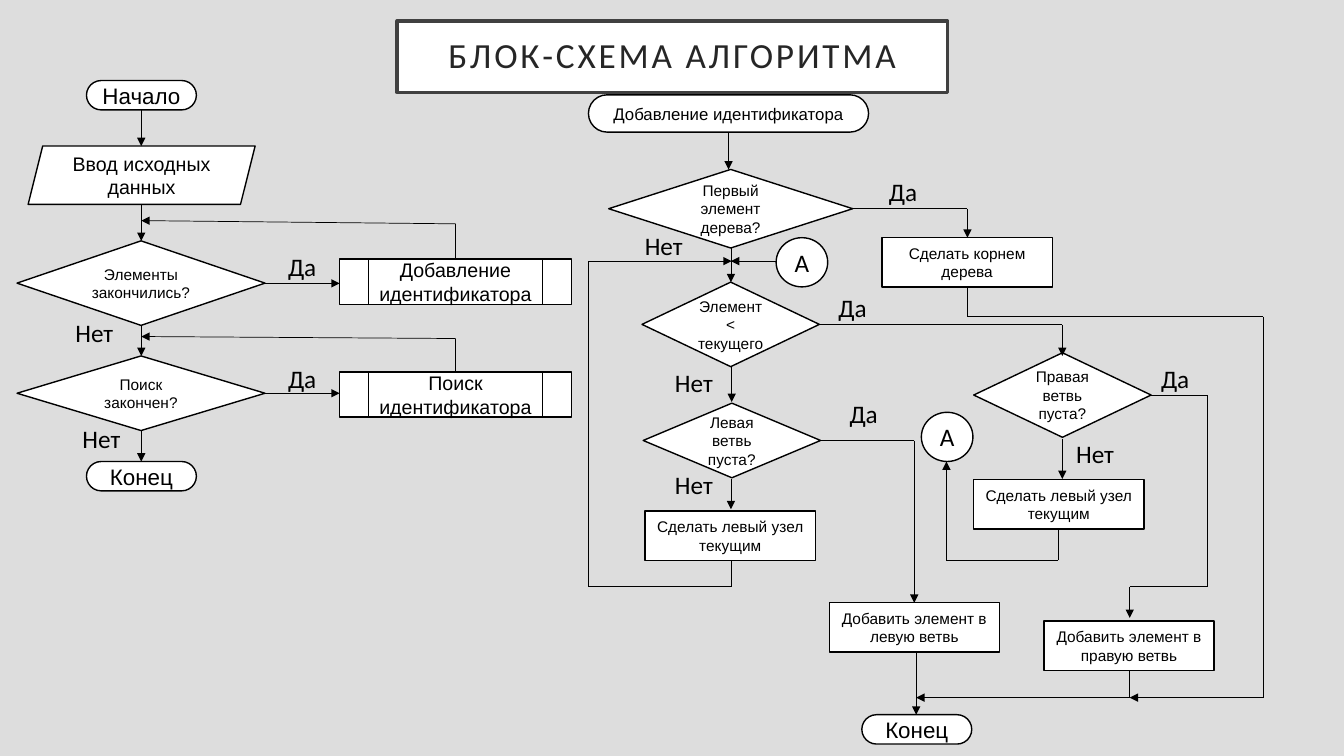
from dataclasses import dataclass
from itertools import pairwise

from lxml.etree import SubElement
from pptx import Presentation
from pptx.dml.color import RGBColor
from pptx.enum.shapes import MSO_CONNECTOR as Link, MSO_SHAPE as Shape
from pptx.enum.text import MSO_ANCHOR as Anchor, MSO_AUTO_SIZE as AutoSize, PP_ALIGN as Align
from pptx.oxml.ns import qn
from pptx.util import Cm, Pt

COLORS = {
    "background": "DDDDDD",
    "block": "FFFFFF",
    "ink": "000000",
    "title": "262626",
    "title_border": "404040",
}

Point = tuple[float, float]


@dataclass(frozen=True)
class Style:
    shape: Shape
    size: Point
    font_size: float = 11
    font: str = "Arial"
    line: float = 1
    line_color: str = "ink"
    text_color: str = "ink"


@dataclass(frozen=True)
class Block:
    text: str
    style: Style
    left: float
    top: float


@dataclass(frozen=True)
class Route:
    points: list[Point]


@dataclass(frozen=True)
class Answer:
    text: str
    places: list[Point]


# Block styles, sizes in centimetres
HEADING = Style(Shape.RECTANGLE, (13.87, 1.8), 25.2, "Calibri", 2.5, "title_border", "title")
TERMINAL = Style(Shape.ROUNDED_RECTANGLE, (2.77, 0.74), 16)
ENTRY = Style(Shape.ROUNDED_RECTANGLE, (7.06, 0.94), 12)
INPUT = Style(Shape.PARALLELOGRAM, (5.72, 1.47), 14)
ROUTINE = Style(Shape.FLOWCHART_PREDEFINED_PROCESS, (5.84, 1.14), 14)
ACTION = Style(Shape.RECTANGLE, (4.29, 1.24))
JUMP = Style(Shape.OVAL, (1.3, 1.24), 18, "Calibri")
ELEMENTS_CHECK = Style(Shape.FLOWCHART_DECISION, (6.25, 2.13))
SEARCH_CHECK = Style(Shape.FLOWCHART_DECISION, (6.25, 1.88))
FIRST_CHECK = Style(Shape.FLOWCHART_DECISION, (6.15, 1.98))
NODE_CHECK = Style(Shape.FLOWCHART_DECISION, (4.47, 2.13))
LEFT_CHECK = Style(Shape.FLOWCHART_DECISION, (4.47, 1.88))

TITLE = Block("БЛОК-СХЕМА АЛГОРИТМА", HEADING, 10.01, 0.53)

BLOCKS = [
    # Main algorithm
    Block("Начало", TERMINAL, 2.18, 2.03),
    Block("Ввод исходных данных", INPUT, 0.71, 3.68),
    Block("Элементы закончились?", ELEMENTS_CHECK, 0.43, 6.07),
    Block("Поиск закончен?", SEARCH_CHECK, 0.43, 8.97),
    Block("Конец", TERMINAL, 2.18, 11.63),
    Block("Добавление идентификатора", ROUTINE, 8.56, 6.53),
    Block("Поиск идентификатора", ROUTINE, 8.56, 9.37),
    # Adding an identifier
    Block("Добавление идентификатора", ENTRY, 14.83, 2.39),
    Block("Первый элемент дерева?", FIRST_CHECK, 15.34, 4.27),
    Block("Сделать корнем дерева", ACTION, 22.23, 5.99),
    Block("А", JUMP, 19.56, 5.99),
    Block("Элемент < текущего", NODE_CHECK, 16.18, 7.11),
    Block("Левая ветвь пуста?", LEFT_CHECK, 16.21, 10.16),
    Block("Сделать левый узел текущим", ACTION, 16.26, 12.88),
    Block("Добавить элемент в левую ветвь", ACTION, 20.9, 15.19),
    Block("Конец", TERMINAL, 21.72, 18.01),
    Block("Правая ветвь пуста?", NODE_CHECK, 24.54, 8.89),
    Block("Сделать левый узел текущим", ACTION, 24.54, 12.09),
    Block("А", JUMP, 23.22, 10.39),
    Block("Добавить элемент в правую ветвь", ACTION, 26.31, 15.65),
]

# Each route ends with an arrowhead
ROUTES = [
    # Main algorithm
    Route([(3.56, 2.77), (3.56, 3.68)]),
    Route([(3.56, 5.16), (3.56, 6.07)]),
    Route([(3.56, 8.2), (3.56, 8.97)]),
    Route([(3.56, 10.85), (3.56, 11.63)]),
    Route([(6.68, 7.14), (8.56, 7.14)]),
    Route([(6.68, 9.91), (8.56, 9.91)]),
    Route([(11.48, 6.53), (11.48, 5.64), (3.56, 5.56)]),
    Route([(11.48, 9.37), (11.48, 8.53), (3.56, 8.48)]),
    # Adding an identifier: first element and left branch
    Route([(18.36, 3.33), (18.36, 4.27)]),
    Route([(18.42, 6.22), (18.42, 7.11)]),
    Route([(21.49, 5.26), (24.38, 5.26), (24.38, 5.99)]),
    Route([(19.56, 6.58), (18.42, 6.58)]),
    Route([(18.44, 9.25), (18.44, 10.13)]),
    Route([(18.42, 12.07), (18.42, 12.83)]),
    Route([(18.42, 14.12), (18.42, 14.78), (14.83, 14.78), (14.83, 6.58), (18.44, 6.58)]),
    Route([(20.68, 11.1), (23.04, 11.1), (23.04, 15.19)]),
    Route([(23.09, 16.43), (23.09, 18.01)]),
    # Adding an identifier: right branch and root
    Route([(20.62, 8.18), (26.77, 8.18), (26.77, 8.97)]),
    Route([(26.77, 11.05), (26.77, 12.07)]),
    Route([(26.67, 13.34), (26.67, 14.12), (23.85, 14.12), (23.85, 11.63)]),
    Route([(29.01, 9.96), (30.43, 9.96), (30.43, 14.78), (28.47, 14.78), (28.47, 15.57)]),
    Route([(24.38, 7.24), (24.38, 7.98), (31.83, 7.98), (31.83, 17.58), (28.47, 17.58)]),
    Route([(28.47, 16.89), (28.47, 17.58), (23.09, 17.58)]),
]

ANSWERS = [
    Answer("Да", [(7.01, 6.22), (7.01, 9.02), (22.15, 4.32),
                  (20.88, 7.24), (21.16, 9.91), (29.01, 9.02)]),
    Answer("Нет", [(1.65, 7.87), (1.83, 10.54), (16, 5.69),
                   (16.76, 9.12), (16.76, 11.71), (26.87, 10.92)]),
]


def color(name: str) -> RGBColor:
    return RGBColor.from_string(COLORS[name])


def add_run(paragraph, text: str, size: float, font: str, ink: str = "ink"):
    run = paragraph.add_run()
    run.text = text
    run.font.size, run.font.name = Pt(size), font
    run.font.color.rgb = color(ink)
    return run


def draw_block(slide, block: Block):
    style = block.style
    width, height = style.size
    outline = slide.shapes.add_shape(
        style.shape, Cm(block.left), Cm(block.top), Cm(width), Cm(height))
    if style.shape == Shape.ROUNDED_RECTANGLE:
        outline.adjustments[0] = 0.5
    outline.shadow.inherit = False
    outline.fill.solid()
    outline.fill.fore_color.rgb = color("block")
    outline.line.color.rgb = color(style.line_color)
    outline.line.width = Pt(style.line)
    frame = outline.text_frame
    frame.word_wrap, frame.vertical_anchor = True, Anchor.MIDDLE
    paragraph = frame.paragraphs[0]
    paragraph.alignment = Align.CENTER
    add_run(paragraph, block.text, style.font_size, style.font, style.text_color)
    return frame


def draw_title(slide, title: Block) -> None:
    frame = draw_block(slide, title)
    frame.margin_left = frame.margin_right = frame.margin_top = frame.margin_bottom = Cm(0.51)
    paragraph = frame.paragraphs[0]
    paragraph.line_spacing = 0.9
    paragraph.runs[0].font._element.set("spc", "200")


def draw_route(slide, route: Route) -> None:
    for start, end in pairwise(route.points):
        segment = slide.shapes.add_connector(Link.STRAIGHT, *map(Cm, start + end))
        segment.line.color.rgb = color("ink")
        segment.line.width = Pt(0.5)
        properties = segment._element.spPr
        SubElement(properties, qn("a:effectLst"))
        if end == route.points[-1]:
            SubElement(properties.find(qn("a:ln")), qn("a:tailEnd"), type="triangle")


def draw_answer(slide, answer: Answer) -> None:
    for left, top in answer.places:
        frame = slide.shapes.add_textbox(Cm(left), Cm(top), Cm(1.73), Cm(1.02)).text_frame
        frame.word_wrap, frame.auto_size = True, AutoSize.SHAPE_TO_FIT_TEXT
        add_run(frame.paragraphs[0], answer.text, 18, "Calibri")


def main() -> None:
    deck = Presentation()
    deck.slide_width, deck.slide_height = Cm(33.87), Cm(19.05)
    slide = deck.slides.add_slide(deck.slide_layouts[6])
    slide.background.fill.solid()
    slide.background.fill.fore_color.rgb = color("background")
    draw_title(slide, TITLE)
    for block in BLOCKS:
        draw_block(slide, block)
    for route in ROUTES:
        draw_route(slide, route)
    for answer in ANSWERS:
        draw_answer(slide, answer)
    deck.save("out.pptx")


if __name__ == "__main__":
    main()
